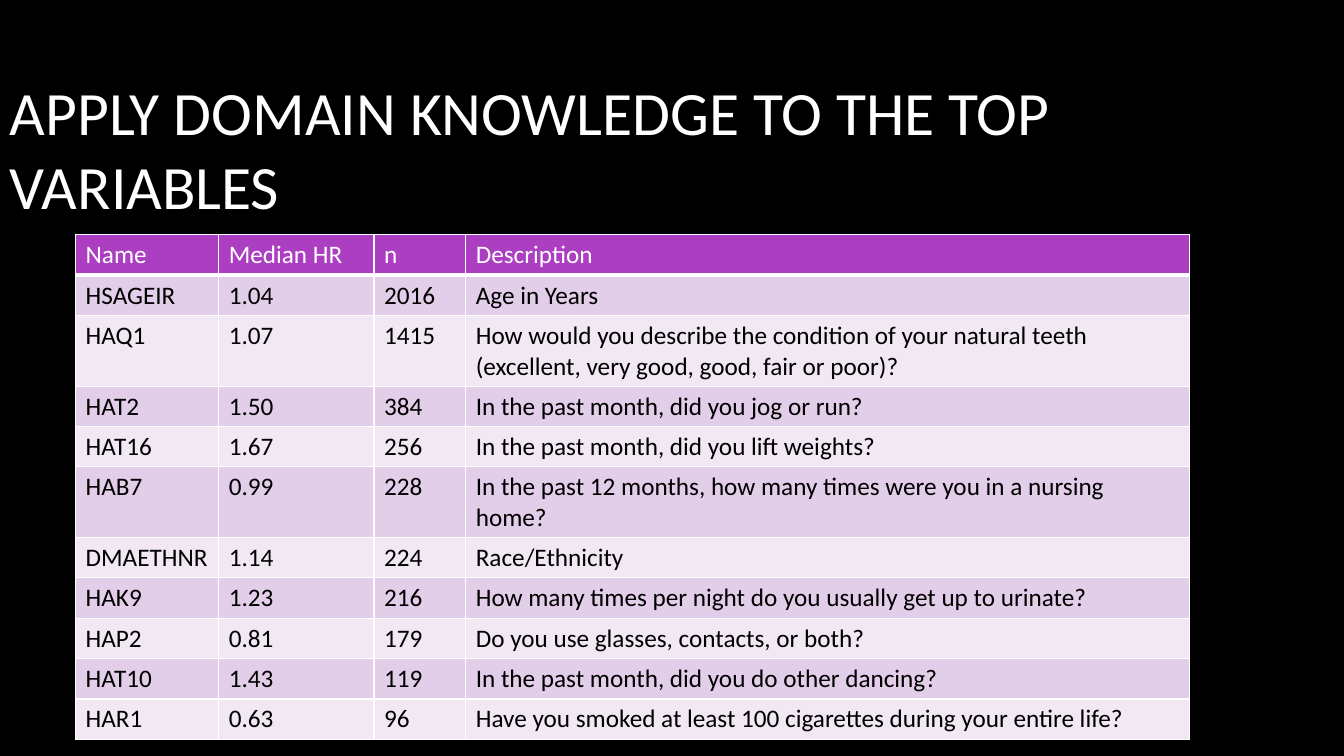
from typing import NamedTuple

from lxml.etree import SubElement
from pptx import Presentation
from pptx.dml.color import RGBColor
from pptx.enum.text import MSO_ANCHOR
from pptx.oxml.ns import qn
from pptx.slide import Slide
from pptx.table import _Cell
from pptx.text.text import TextFrame
from pptx.util import Inches, Pt

FONT = "Calibri"
BLACK = RGBColor(0x00, 0x00, 0x00)
WHITE = RGBColor(0xFF, 0xFF, 0xFF)
PURPLE = RGBColor(0xAC, 0x3E, 0xC1)
LILAC = RGBColor(0xE3, 0xCE, 0xE9)
PALE_LILAC = RGBColor(0xF1, 0xE8, 0xF4)


class Variable(NamedTuple):
    name: str
    median_hr: str
    n: str
    description: str


HEADER = Variable("Name", "Median HR", "n", "Description")
VARIABLES = [
    Variable("HSAGEIR", "1.04", "2016", "Age in Years"),
    Variable("HAQ1", "1.07", "1415", "How would you describe the condition of your natural teeth "
             "(excellent, very good, good, fair or poor)?"),
    Variable("HAT2", "1.50", "384", "In the past month, did you jog or run?"),
    Variable("HAT16", "1.67", "256", "In the past month, did you lift weights?"),
    Variable("HAB7", "0.99", "228",
             "In the past 12 months, how many times were you in a nursing home?"),
    Variable("DMAETHNR", "1.14", "224", "Race/Ethnicity"),
    Variable("HAK9", "1.23", "216", "How many times per night do you usually get up to urinate?"),
    Variable("HAP2", "0.81", "179", "Do you use glasses, contacts, or both?"),
    Variable("HAT10", "1.43", "119", "In the past month, did you do other dancing?"),
    Variable("HAR1", "0.63", "96",
             "Have you smoked at least 100 cigarettes during your entire life?"),
]
COLUMN_WIDTHS = [1.42, 1.54, 0.91, 7.18]
ROW_HEIGHT = 0.4
WRAPPED_ROW_HEIGHT = 0.7
WRAP_LENGTH = 64  # longer descriptions take two lines


def set_text(tf: TextFrame, text: str, size: int, color: RGBColor) -> None:
    tf.text = text
    font = tf.paragraphs[0].runs[0].font
    font.name = FONT
    font.size = Pt(size)
    font.bold = False
    font.color.rgb = color


def set_borders(cell: _Cell, top: int, bottom: int) -> None:
    """Draw white borders; must run before the cell is filled to keep the XML order."""
    tc_pr = cell._tc.get_or_add_tcPr()
    for side, width in (("L", 1), ("R", 1), ("T", top), ("B", bottom)):
        ln = SubElement(tc_pr, qn(f"a:ln{side}"), w=str(Pt(width)))
        fill = SubElement(ln, qn("a:solidFill"))
        SubElement(fill, qn("a:srgbClr"), val=str(WHITE))


def add_title(s: Slide, text: str) -> None:
    tf = s.shapes.add_textbox(Inches(0), Inches(0.67), Inches(13.33), Inches(1.59)).text_frame
    tf.word_wrap = True
    tf.vertical_anchor = MSO_ANCHOR.MIDDLE
    set_text(tf, text, 44, WHITE)


def add_variable_table(s: Slide) -> None:
    rows = [HEADER, *VARIABLES]
    table = s.shapes.add_table(len(rows), len(COLUMN_WIDTHS), Inches(0.75), Inches(2.33),
                               Inches(sum(COLUMN_WIDTHS)), Inches(5)).table
    for column, width in zip(table.columns, COLUMN_WIDTHS):
        column.width = Inches(width)
    for i, variable in enumerate(rows):
        wraps = len(variable.description) > WRAP_LENGTH
        table.rows[i].height = Inches(WRAPPED_ROW_HEIGHT if wraps else ROW_HEIGHT)
        if i == 0:
            background, color = PURPLE, WHITE
        else:
            background, color = (LILAC if i % 2 else PALE_LILAC), BLACK
        for cell, text in zip(table.rows[i].cells, variable):
            set_borders(cell, top=3 if i == 1 else 1, bottom=3 if i == 0 else 1)
            cell.fill.solid()
            cell.fill.fore_color.rgb = background
            set_text(cell.text_frame, text, 18, color)


def main() -> None:
    prs = Presentation()
    prs.slide_width, prs.slide_height = Inches(13.33), Inches(7.5)
    s = prs.slides.add_slide(prs.slide_layouts[6])
    s.background.fill.solid()
    s.background.fill.fore_color.rgb = BLACK
    add_title(s, "APPLY DOMAIN KNOWLEDGE TO THE TOP VARIABLES")
    add_variable_table(s)
    prs.save("out.pptx")


if __name__ == "__main__":
    main()
